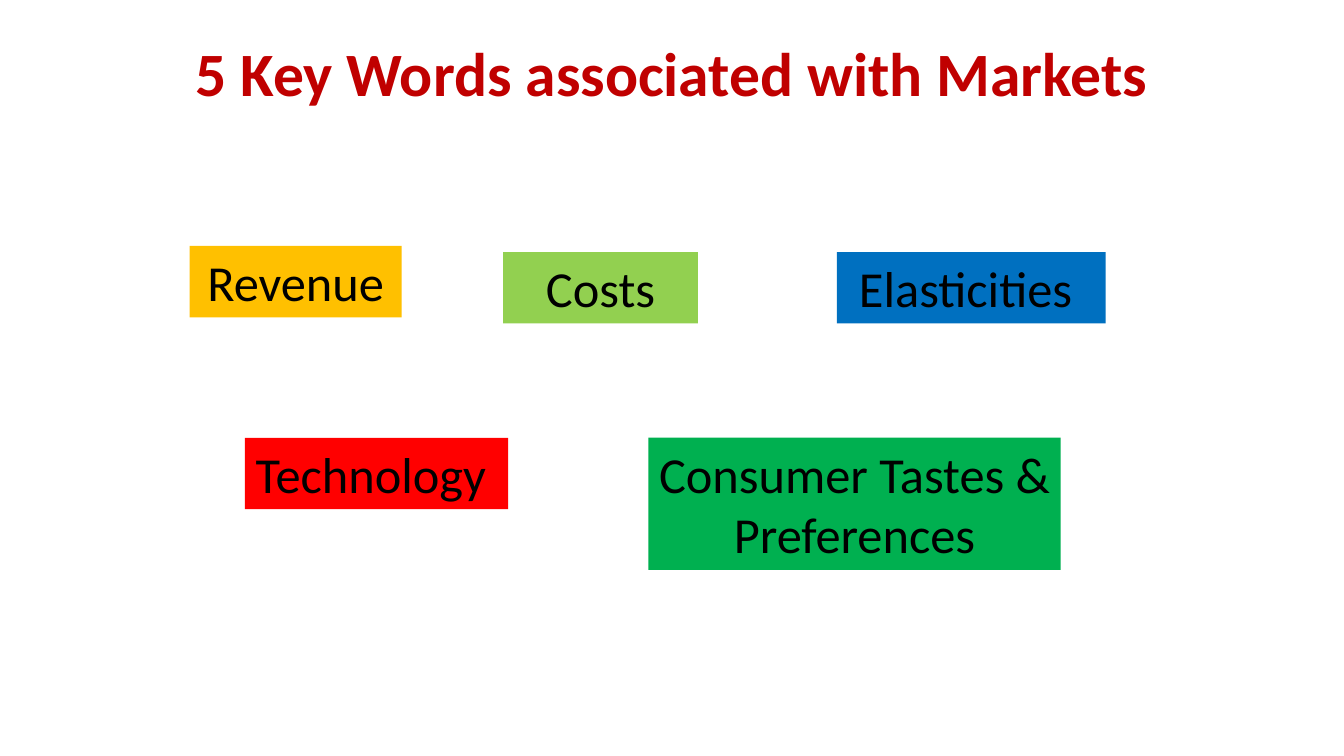
"""Build a slide showing five key words associated with markets."""
from pptx import Presentation
from pptx.dml.color import RGBColor
from pptx.enum.shapes import MSO_SHAPE
from pptx.enum.text import MSO_ANCHOR, MSO_AUTO_SIZE, PP_ALIGN
from pptx.util import Pt

BLACK = RGBColor(0x00, 0x00, 0x00)
CRIMSON = RGBColor(0xC0, 0x00, 0x00)
AMBER = RGBColor(0xFF, 0xC0, 0x00)
LIME = RGBColor(0x92, 0xD0, 0x50)
BLUE = RGBColor(0x00, 0x70, 0xC0)
RED = RGBColor(0xFF, 0x00, 0x00)
GREEN = RGBColor(0x00, 0xB0, 0x50)

TITLE = "5 Key Words associated with Markets"
KEY_WORDS = [
    ("Revenue", AMBER, 135.5, 175.7, 151.4, 1),
    ("Costs", LIME, 359.5, 180, 139, 1),
    ("Elasticities ", BLUE, 597.8, 180, 192, 1),
    ("Technology ", RED, 175, 312.7, 188, 1),
    ("Consumer Tastes & Preferences", GREEN, 463.2, 312.7, 294.5, 2),
]
LINE_HEIGHT = 43.5
PADDING = 7.5


def write_text(frame, text, *, size, color, bold=False, spacing=1.0):
    """Write one centred paragraph into a text frame."""
    frame.word_wrap = True
    frame.vertical_anchor = MSO_ANCHOR.TOP
    para = frame.paragraphs[0]
    para.alignment = PP_ALIGN.CENTER
    para.line_spacing = spacing
    span = para.add_run()
    span.text = text
    span.font.name = "Calibri"
    span.font.size = Pt(size)
    span.font.bold = bold
    span.font.color.rgb = color


def add_key_word(page, text, fill, left, top, width, lines):
    """Add a filled box that holds one key word."""
    height = lines * LINE_HEIGHT + PADDING
    box = page.shapes.add_shape(
        MSO_SHAPE.RECTANGLE, Pt(left), Pt(top), Pt(width), Pt(height))
    box.shadow.inherit = False
    box.fill.solid()
    box.fill.fore_color.rgb = fill
    box.line.fill.background()
    write_text(box.text_frame, text, size=36, color=BLACK)
    box.text_frame.auto_size = MSO_AUTO_SIZE.SHAPE_TO_FIT_TEXT


def main():
    """Build and save the deck."""
    deck = Presentation()
    deck.slide_width, deck.slide_height = Pt(960), Pt(540)
    page = deck.slides.add_slide(deck.slide_layouts[5])
    title = page.shapes.title
    title.left, title.top = Pt(66), Pt(27.4)
    title.width, title.height = Pt(828), Pt(104.4)
    write_text(title.text_frame, TITLE, size=44, color=CRIMSON, bold=True, spacing=0.9)
    for key_word in KEY_WORDS:
        add_key_word(page, *key_word)
    deck.save("out.pptx")


if __name__ == "__main__":
    main()
